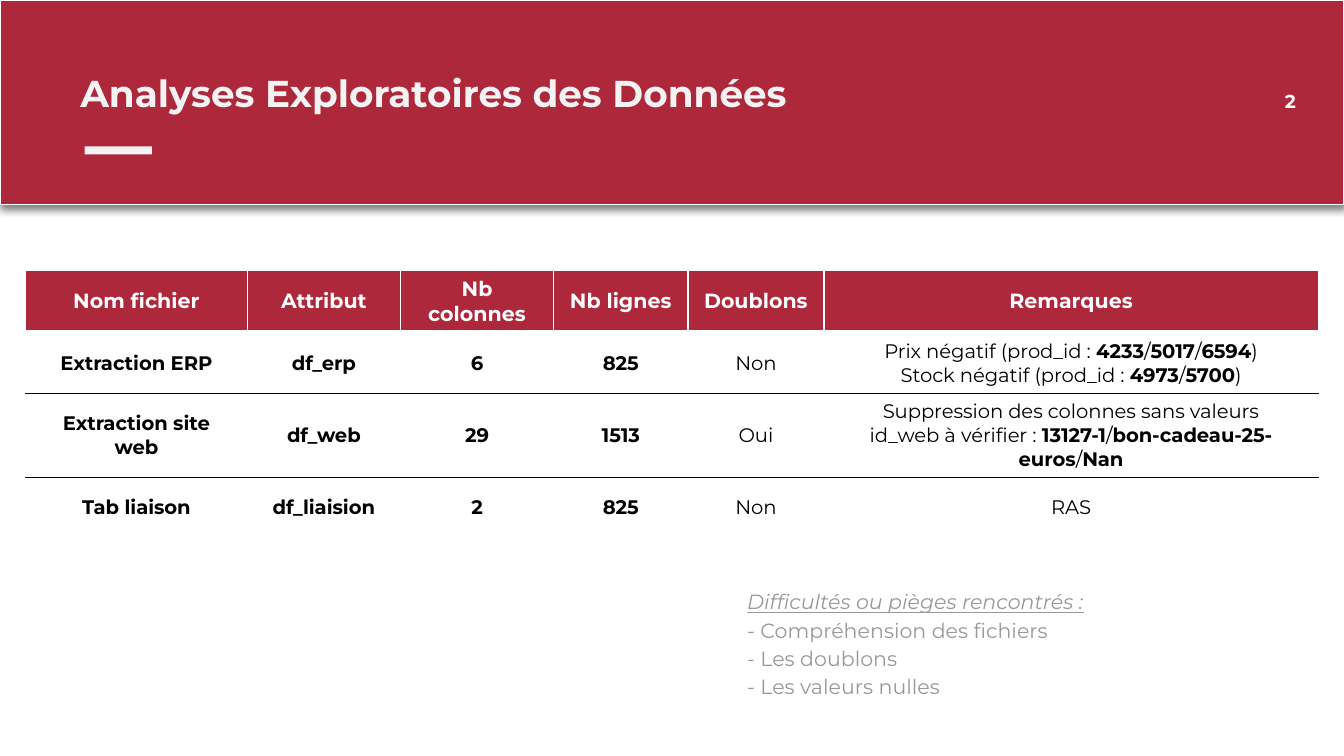
from lxml.etree import SubElement
from pptx import Presentation
from pptx.dml.color import RGBColor
from pptx.enum.shapes import MSO_SHAPE as SHAPE
from pptx.enum.text import MSO_ANCHOR as ANCHOR, PP_ALIGN as ALIGN
from pptx.oxml.ns import qn
from pptx.util import Pt

FONT = "Montserrat"
COLORS = {
    "red": "AD283B",
    "white": "FFFFFF",
    "light": "F3F3F3",
    "black": "000000",
    "grey": "999999",
}
COLUMN_WIDTHS = [118.8, 82.08, 82.08, 72, 72.72, 264.96]
ROW_HEIGHTS = [12.24, 32.4, 33.84, 32.4]
# Text between ** marks is bold.
ROWS = [
    ["**Nom fichier**", "**Attribut**", "**Nb colonnes**", "**Nb lignes**",
     "**Doublons**", "**Remarques**"],
    ["**Extraction ERP**", "**df_erp**", "**6**", "**825**", "Non",
     "Prix négatif (prod_id : **4233**/**5017**/**6594**)\n"
     "Stock négatif (prod_id : **4973**/**5700**)"],
    ["**Extraction site web**", "**df_web**", "**29**", "**1513**", "Oui",
     "Suppression des colonnes sans valeurs\n"
     "id_web à vérifier : **13127-1**/**bon-cadeau-25-euros**/**Nan**"],
    ["**Tab liaison**", "**df_liaision**", "**2**", "**825**", "Non", "RAS"],
]
DIFFICULTIES = [
    "Difficultés ou pièges rencontrés :",
    "- Compréhension des fichiers",
    "- Les doublons",
    "- Les valeurs nulles",
]


def rgb(name):
    return RGBColor.from_string(COLORS[name])


def style_run(r, size, color, bold=False):
    r.font.name = FONT
    r.font.size = Pt(size)
    r.font.bold = bold
    r.font.color.rgb = rgb(color)


def add_rect(s, x, y, w, h, fill, line=None):
    sp = s.shapes.add_shape(SHAPE.RECTANGLE, Pt(x), Pt(y), Pt(w), Pt(h))
    sp.shadow.inherit = False
    sp.fill.solid()
    sp.fill.fore_color.rgb = rgb(fill)
    if line:
        sp.line.color.rgb = rgb(line)
        sp.line.width = Pt(0.75)
    else:
        sp.line.fill.background()
    return sp


def add_drop_shadow(sp):
    effects = sp._element.spPr.find(qn("a:effectLst"))
    shadow = SubElement(effects, qn("a:outerShdw"), blurRad=str(Pt(4.5)),
                        dist=str(Pt(1.5)), dir="5400000", algn="bl",
                        rotWithShape="0")
    color = SubElement(shadow, qn("a:srgbClr"), val=COLORS["black"])
    SubElement(color, qn("a:alpha"), val="50000")


def add_text(s, x, y, w, h, lines, size, color, bold=False, inset=3.6,
             indent=0, spacing=None, align=ALIGN.LEFT, anchor=ANCHOR.TOP):
    tf = s.shapes.add_textbox(Pt(x), Pt(y), Pt(w), Pt(h)).text_frame
    tf.word_wrap = True
    tf.vertical_anchor = anchor
    tf.margin_top = tf.margin_bottom = Pt(inset)
    tf.text = "\n".join(lines)
    for p in tf.paragraphs:
        p.alignment = align
        if spacing:
            p.line_spacing = spacing
        if indent:
            pPr = p._p.get_or_add_pPr()
            pPr.set("marL", str(Pt(indent)))
            pPr.set("indent", "0")
        for r in p.runs:
            style_run(r, size, color, bold)
    return tf


def set_borders(cell, top, bottom, bottom_width):
    tcPr = cell._tc.get_or_add_tcPr()
    edges = [("L", "white", 1), ("R", "white", 1), ("T", top, 1),
             ("B", bottom, bottom_width)]
    for i, (side, color, width) in enumerate(edges):
        ln = SubElement(tcPr, qn(f"a:ln{side}"), w=str(Pt(width)))
        fill = SubElement(ln, qn("a:solidFill"))
        SubElement(fill, qn("a:srgbClr"), val=COLORS[color])
        tcPr.insert(i, ln)


def fill_cell(cell, text, size, color):
    cell.vertical_anchor = ANCHOR.MIDDLE
    tf = cell.text_frame
    lines = text.split("\n")
    for i, line in enumerate(lines):
        p = tf.add_paragraph() if i else tf.paragraphs[0]
        p.alignment = ALIGN.CENTER
        for j, part in enumerate(line.split("**")):
            if part:
                r = p.add_run()
                r.text = part
                style_run(r, size, color, bold=j % 2 == 1)


def add_file_table(s):
    table = s.shapes.add_table(
        len(ROWS), len(COLUMN_WIDTHS), Pt(13.68), Pt(144.72),
        Pt(sum(COLUMN_WIDTHS)), Pt(sum(ROW_HEIGHTS))).table
    table.first_row = table.horz_banding = False
    for column, width in zip(table.columns, COLUMN_WIDTHS):
        column.width = Pt(width)
    for row, height in zip(table.rows, ROW_HEIGHTS):
        row.height = Pt(height)
    last = len(ROWS) - 1
    for i, texts in enumerate(ROWS):
        header = i == 0
        top = "black" if i > 1 else "white"
        bottom = "black" if 0 < i < last else "white"
        for j, text in enumerate(texts):
            cell = table.cell(i, j)
            if header:
                cell.fill.solid()
                cell.fill.fore_color.rgb = rgb("red")
                fill_cell(cell, text, 11, "white")
            else:
                cell.fill.background()
                fill_cell(cell, text, 10.5, "black")
            set_borders(cell, top, bottom, 3 if header else 1)


def add_header(s):
    add_drop_shadow(add_rect(s, 0, 0, 720, 109.44, "red", "white"))
    add_rect(s, 45.36, 78.48, 36, 4.32, "light")
    add_text(s, 658.08, 38.88, 43.2, 30.96, ["2"], 10, "white", bold=True,
             inset=7.2, align=ALIGN.RIGHT, anchor=ANCHOR.MIDDLE)
    add_text(s, 27.36, 26.64, 606.96, 43.92,
             ["Analyses Exploratoires des Données"], 20, "light", bold=True,
             inset=7.2, indent=8.64, spacing=1.15)


def add_difficulties(s):
    tf = add_text(s, 384.48, 310.32, 289.44, 105.84, DIFFICULTIES, 11, "grey",
                  indent=8.64, spacing=1.15)
    heading = tf.paragraphs[0].runs[0].font
    heading.italic = heading.underline = True


def main():
    prs = Presentation()
    prs.slide_width, prs.slide_height = Pt(720), Pt(405)
    s = prs.slides.add_slide(prs.slide_layouts[6])
    add_header(s)
    add_file_table(s)
    add_difficulties(s)
    prs.save("out.pptx")


if __name__ == "__main__":
    main()
